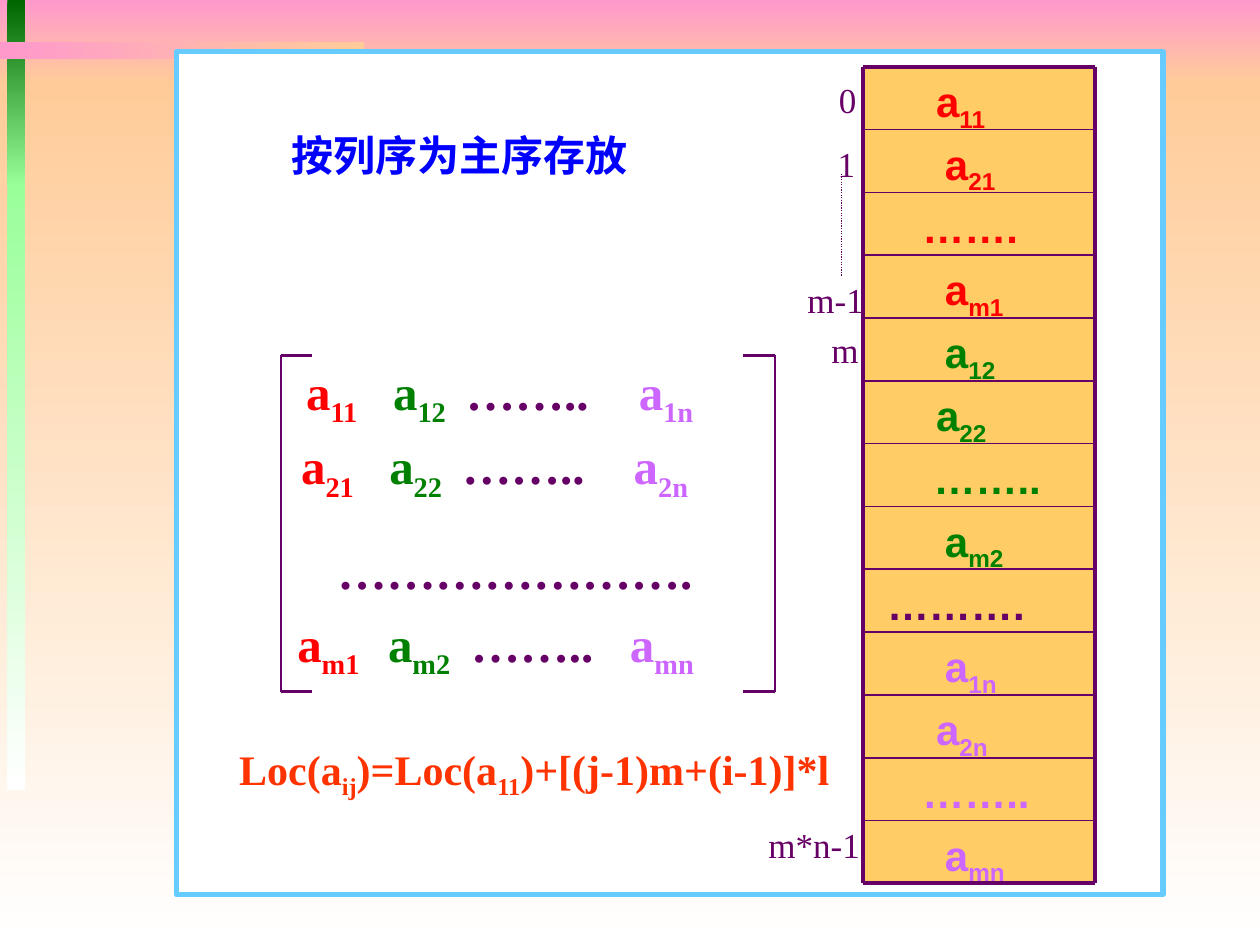
"""Build a slide on storing a matrix in column-major order."""
from lxml.etree import SubElement
from pptx import Presentation
from pptx.dml.color import RGBColor
from pptx.enum.dml import MSO_LINE
from pptx.enum.shapes import MSO_CONNECTOR, MSO_SHAPE
from pptx.enum.text import MSO_ANCHOR, MSO_AUTO_SIZE, PP_ALIGN
from pptx.oxml import parse_xml
from pptx.oxml.ns import nsdecls, qn
from pptx.util import Inches, Pt

PINK = RGBColor(0xFF, 0x99, 0xCC)
PEACH = RGBColor(0xFF, 0xCC, 0x99)
WHITE = RGBColor(0xFF, 0xFF, 0xFF)
DARK_GREEN = RGBColor(0x00, 0x66, 0x00)
LIGHT_GREEN = RGBColor(0x99, 0xFF, 0x99)
SKY = RGBColor(0x66, 0xCC, 0xFF)
BLUE = RGBColor(0x00, 0x00, 0xFF)
PLUM = RGBColor(0x66, 0x00, 0x66)
GOLD = RGBColor(0xFF, 0xCC, 0x66)
RED = RGBColor(0xFF, 0x00, 0x00)
GREEN = RGBColor(0x00, 0x80, 0x00)
VIOLET = RGBColor(0xCC, 0x66, 0xFF)
ORANGE = RGBColor(0xFF, 0x33, 0x00)
SERIF = "Times New Roman"


def write(para, pieces, font, size, bold=True):
    """Fill a paragraph with (text, colour) pieces; "_" toggles subscript."""
    para.font.name, para.font.size, para.font.bold = font, Pt(size), bold
    for text, color in pieces:
        for index, part in enumerate(text.split("_")):
            if part:
                span = para.add_run()
                span.text = part
                span.font.color.rgb = color
                if index % 2:
                    span._r.get_or_add_rPr().set("baseline", "-25000")


def add_text(left, top, width, height, pieces, size, bold=True, wrap=True):
    """Add a serif text box and return its text frame."""
    box = slide.shapes.add_textbox(Inches(left), Inches(top), Inches(width), Inches(height))
    frame = box.text_frame
    frame.word_wrap = wrap
    write(frame.paragraphs[0], pieces, SERIF, size, bold)
    return frame


deck = Presentation()
deck.slide_width, deck.slide_height = Inches(10), Inches(7.5)
slide = deck.slides.add_slide(deck.slide_layouts[5])

for left, top, width, height, angle, start, end in [
    (0, 0, 10, 0.67, 270, PINK, PEACH),
    (0, 0.67, 10, 6.83, 270, PEACH, WHITE),
    (0.06, 0, 0.14, 1.48, 270, DARK_GREEN, LIGHT_GREEN),
    (0.06, 1.46, 0.14, 4.81, 270, LIGHT_GREEN, WHITE),
    (0, 0.33, 2.89, 0.14, 0, PINK, PEACH),
]:
    band = slide.shapes.add_shape(
        MSO_SHAPE.RECTANGLE, Inches(left), Inches(top), Inches(width), Inches(height))
    band.shadow.inherit = False
    band.line.fill.background()
    band.fill.gradient()
    band.fill.gradient_angle = angle
    for stop, color in zip(band.fill.gradient_stops, (start, end)):
        stop.color.rgb = color

panel = slide.shapes.add_shape(
    MSO_SHAPE.RECTANGLE, Inches(1.4), Inches(0.41), Inches(7.83), Inches(6.69))
panel.shadow.inherit = False
panel.fill.solid()
panel.fill.fore_color.rgb = WHITE
panel.line.color.rgb = SKY
panel.line.width = Pt(3)

title = slide.shapes.title
title.left, title.top, title.width, title.height = (
    Inches(2.06), Inches(0.99), Inches(3.08), Inches(0.5))
title.element.getparent().append(title.element)
title_frame = title.text_frame
title_frame.auto_size = MSO_AUTO_SIZE.NONE
title_frame.vertical_anchor = MSO_ANCHOR.TOP
title_frame.margin_left = Inches(0.25)
title_frame.margin_right = 0
title_frame.margin_top = Inches(0.04)
title_frame.paragraphs[0].alignment = PP_ALIGN.LEFT
write(title_frame.paragraphs[0], [("按列序为主序存放", BLUE)], SERIF, 24)

for label, left, top, width in [
    ("0", 6.56, 0.57, 0.34), ("1", 6.55, 1.08, 0.34), ("m-1", 6.31, 2.16, 0.65),
    ("m*n-1", 6, 6.49, 0.93), ("m", 6.5, 2.56, 0.42),
]:
    add_text(left, top, width, 0.43, [(label, PLUM)], 20, bold=False, wrap=False)

cells = [
    ("a_11", RED, 0.58), ("a_21", RED, 0.65), ("…….", RED, 0.47), ("a_m1", RED, 0.65),
    ("a_12", GREEN, 0.65), ("a_22", GREEN, 0.58), ("……..", GREEN, 0.56), ("a_m2", GREEN, 0.65),
    ("……….", PLUM, 0.19),
    ("a_1n", VIOLET, 0.65), ("a_2n", VIOLET, 0.58), ("……..", VIOLET, 0.47), ("a_mn", VIOLET, 0.65),
]
store_left, store_right, store_top, store_bottom = 6.85, 8.69, 0.53, 7.01
row_height = (store_bottom - store_top) / len(cells)
for index, (text, color, indent) in enumerate(cells):
    cell = slide.shapes.add_shape(
        MSO_SHAPE.RECTANGLE, Inches(store_left), Inches(store_top + index * row_height),
        Inches(store_right - store_left), Inches(row_height))
    cell.shadow.inherit = False
    cell.fill.solid()
    cell.fill.fore_color.rgb = GOLD
    cell.line.fill.background()
    frame = cell.text_frame
    frame.vertical_anchor = MSO_ANCHOR.TOP
    frame.margin_left, frame.margin_right = Inches(indent), 0
    frame.margin_top, frame.margin_bottom = Inches(0.07), 0
    frame.paragraphs[0].alignment = PP_ALIGN.LEFT
    write(frame.paragraphs[0], [(text, color)], "Arial", 24)

for row, top, width, indent, stops in (
    ("1", 2.82, 4.58, 1.12, (0.69, 1.27, 2.64)),
    ("2", 3.41, 5, 1.08, (0.7, 1.28, 2.64)),
    ("m", 4.82, 5.67, 1.05, (0.72, 1.38, 2.64)),
):
    pieces = [(f"a_{row}1_\t", RED), (f"a_{row}2_\t", GREEN),
              ("……..\t", PLUM), (f"a_{row}n", VIOLET)]
    frame = add_text(1.31, top, width, 0.57, pieces, 28)
    frame.margin_left = Inches(indent)
    tab_list = parse_xml(f'<a:tabLst {nsdecls("a")}/>')
    for position in stops:
        SubElement(tab_list, qn("a:tab"), pos=str(Inches(position)), algn="l")
    frame.paragraphs[0]._p.get_or_add_pPr().insert(0, tab_list)

dots = add_text(1.31, 4.24, 4.67, 0.57, [("………………….", PLUM)], 28)
dots.margin_left = Inches(1.37)
add_text(1.8, 5.85, 5.02, 0.51, [("Loc(a_ij_)=Loc(a_11_)+[(j-1)m+(i-1)]*l", ORANGE)], 24)

lines = [(6.68, 1.38, 6.68, 2.19, 0.75)]
for index in range(len(cells) + 1):
    y = store_top + index * row_height
    weight = 2.25 if index in (0, len(cells)) else 1
    lines.append((store_left, y, store_right, y, weight))
lines += [(x, store_top, x, store_bottom, 2.25) for x in (store_left, store_right)]
for outer, inner in ((2.23, 2.48), (6.15, 5.9)):
    lines.append((outer, 2.82, outer, 5.49, 1.5))
    lines += [(min(outer, inner), y, max(outer, inner), y, 1.5) for y in (2.82, 5.49)]
for x1, y1, x2, y2, weight in lines:
    line = slide.shapes.add_connector(
        MSO_CONNECTOR.STRAIGHT, Inches(x1), Inches(y1), Inches(x2), Inches(y2))
    line.line.color.rgb = PLUM
    line.line.width = Pt(weight)
    if weight == 0.75:
        line.line.dash_style = MSO_LINE.ROUND_DOT
    SubElement(line.element.spPr, qn("a:effectLst"))

deck.save("out.pptx")
